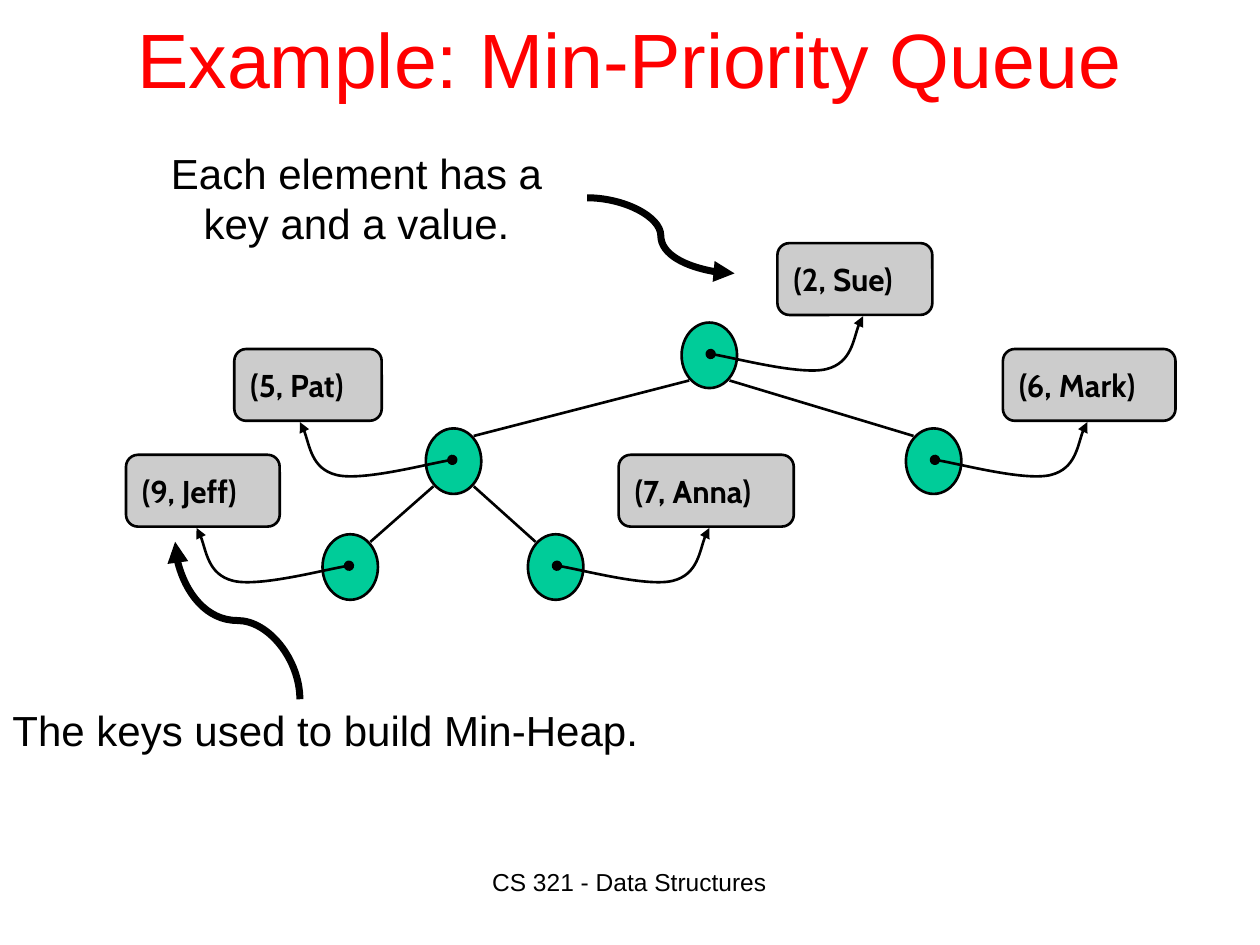
from lxml import etree
from pptx import Presentation
from pptx.dml.color import RGBColor
from pptx.enum.shapes import MSO_CONNECTOR, MSO_SHAPE
from pptx.enum.text import MSO_ANCHOR, PP_ALIGN
from pptx.oxml.ns import qn
from pptx.util import Inches, Pt

STRAIGHT, CURVE = MSO_CONNECTOR.STRAIGHT, MSO_CONNECTOR.CURVE
OVAL, ROUNDED = MSO_SHAPE.OVAL, MSO_SHAPE.ROUNDED_RECTANGLE
TOP, MIDDLE = MSO_ANCHOR.TOP, MSO_ANCHOR.MIDDLE
LEFT, CENTER = PP_ALIGN.LEFT, PP_ALIGN.CENTER

THEME = {
    "title": ("Arial", 44, "FF0000", False),
    "note": ("Arial", 24, "000000", False),
    "footer": ("Arial", 14, "000000", False),
    "entry": ("Cabin", 18, "000000", True),
    "node": "00CC99",
    "box": "CCCCCC",
    "line": "000000",
    "thin": 1.5,
    "thick": 4,
}

TEXTS = [
    ("Example: Min-Priority Queue", "title", (0.75, -0.17, 8.5, 1.25), CENTER, MIDDLE, 0),
    ("CS 321 - Data Structures", "footer", (3.08, 6.83, 3.83, 0.5), CENTER, TOP, 0),
    ("Each element has a key and a value.", "note", (1, 1.12, 3.66, 0.91), CENTER, TOP, 0.2),
    ("The keys used to build Min-Heap.", "note", (0, 5.54, 5.41, 0.5), LEFT, TOP, 0.2),
]

# entry, parent entry, node centre x, level, box left, box width, pointer direction
HEAP = [
    ("(2, Sue)", None, 5.63, 0, 6.17, 1.23, 1),
    ("(5, Pat)", "(2, Sue)", 3.6, 1, 1.86, 1.17, -1),
    ("(6, Mark)", "(2, Sue)", 7.41, 1, 7.96, 1.37, 1),
    ("(9, Jeff)", "(5, Pat)", 2.78, 2, 1, 1.22, -1),
    ("(7, Anna)", "(5, Pat)", 4.41, 2, 4.91, 1.39, 1),
]
ROOT_Y, LEVEL_STEP = 2.82, 0.84
NODE_WIDTH, NODE_HEIGHT = 0.44, 0.52
BOX_HEIGHT, BOX_RISE = 0.57, 0.89
EDGE_X, EDGE_Y = 0.16, 0.2
POINTER = [(0.01, -0.01), (0.16, 0.01), (0.73, 0.16), (0.93, 0.11),
           (1.13, 0.06), (1.16, -0.23), (1.22, -0.31)]

CALLOUTS = [
    ((4.66, 1.57), (5.83, 2.17), 0),
    ((1.26, 5.42), (2.51, 4.43), 270),
]


def set_line(line, width, head=None, tail=None):
    line.color.rgb = RGBColor.from_string(THEME["line"])
    line.width = Pt(width)
    properties = line._get_or_add_ln()
    for tag, kind in (("a:headEnd", head), ("a:tailEnd", tail)):
        if kind:
            etree.SubElement(properties, qn(tag), type=kind)


def set_text(shape, text, style, align, anchor, spacing):
    font_name, size, color, bold = THEME[style]
    frame = shape.text_frame
    frame.text = text
    frame.word_wrap = True
    frame.vertical_anchor = anchor
    paragraph = frame.paragraphs[0]
    paragraph.alignment = align
    paragraph.space_before = Pt(size * spacing)
    font = paragraph.runs[0].font
    font.name, font.size, font.bold = font_name, Pt(size), bold
    font.color.rgb = RGBColor.from_string(color)


def add_box(slide, kind, place, fill):
    shape = slide.shapes.add_shape(kind, *map(Inches, place))
    shape.shadow.inherit = False
    shape.fill.solid()
    shape.fill.fore_color.rgb = RGBColor.from_string(fill)
    set_line(shape.line, THEME["thin"])
    return shape


def add_line(slide, kind, start, end, width, tail=None):
    connector = slide.shapes.add_connector(kind, *map(Inches, (*start, *end)))
    set_line(connector.line, width, tail=tail)
    etree.SubElement(connector._element.spPr, qn("a:effectLst"))
    return connector


def add_pointer(slide, center_x, center_y, direction):
    points = [(Inches(center_x + direction * x), Inches(center_y + y)) for x, y in POINTER]
    builder = slide.shapes.build_freeform(*points[0])
    builder.add_line_segments(points[1:], close=False)
    shape = builder.convert_to_shape()
    shape.shadow.inherit = False
    shape.fill.background()
    set_line(shape.line, THEME["thin"], "oval", "triangle")
    outline = next(shape._element.iter(qn("a:path")))
    segments = outline.findall(qn("a:lnTo"))
    for first in range(0, len(segments), 3):
        curve = etree.SubElement(outline, qn("a:cubicBezTo"))
        for segment in segments[first:first + 3]:
            curve.append(segment[0])
            outline.remove(segment)


def add_heap(slide):
    centers = {entry: (x, ROOT_Y + level * LEVEL_STEP) for entry, _, x, level, *_ in HEAP}
    for x, y in centers.values():
        place = (x - NODE_WIDTH / 2, y - NODE_HEIGHT / 2, NODE_WIDTH, NODE_HEIGHT)
        add_box(slide, OVAL, place, THEME["node"])
    for entry, parent, _, _, left, width, direction in HEAP:
        x, y = centers[entry]
        if parent:
            parent_x, parent_y = centers[parent]
            side = 1 if x > parent_x else -1
            add_line(slide, STRAIGHT, (parent_x + side * EDGE_X, parent_y + EDGE_Y),
                     (x - side * EDGE_X, y - EDGE_Y), THEME["thin"])
        box = add_box(slide, ROUNDED, (left, y - BOX_RISE, width, BOX_HEIGHT), THEME["box"])
        set_text(box, entry, "entry", LEFT, MIDDLE, 0.2)
        add_pointer(slide, x, y, direction)


def main():
    presentation = Presentation()
    presentation.slide_width, presentation.slide_height = Inches(10), Inches(7.5)
    slide = presentation.slides.add_slide(presentation.slide_layouts[6])
    for text, style, place, align, anchor, spacing in TEXTS:
        text_box = slide.shapes.add_textbox(*map(Inches, place))
        set_text(text_box, text, style, align, anchor, spacing)
    add_heap(slide)
    for start, end, rotation in CALLOUTS:
        connector = add_line(slide, CURVE, start, end, THEME["thick"], "triangle")
        if rotation:
            connector._element.spPr.find(qn("a:xfrm")).set("rot", str(rotation * 60000))
    presentation.save("out.pptx")


if __name__ == "__main__":
    main()
